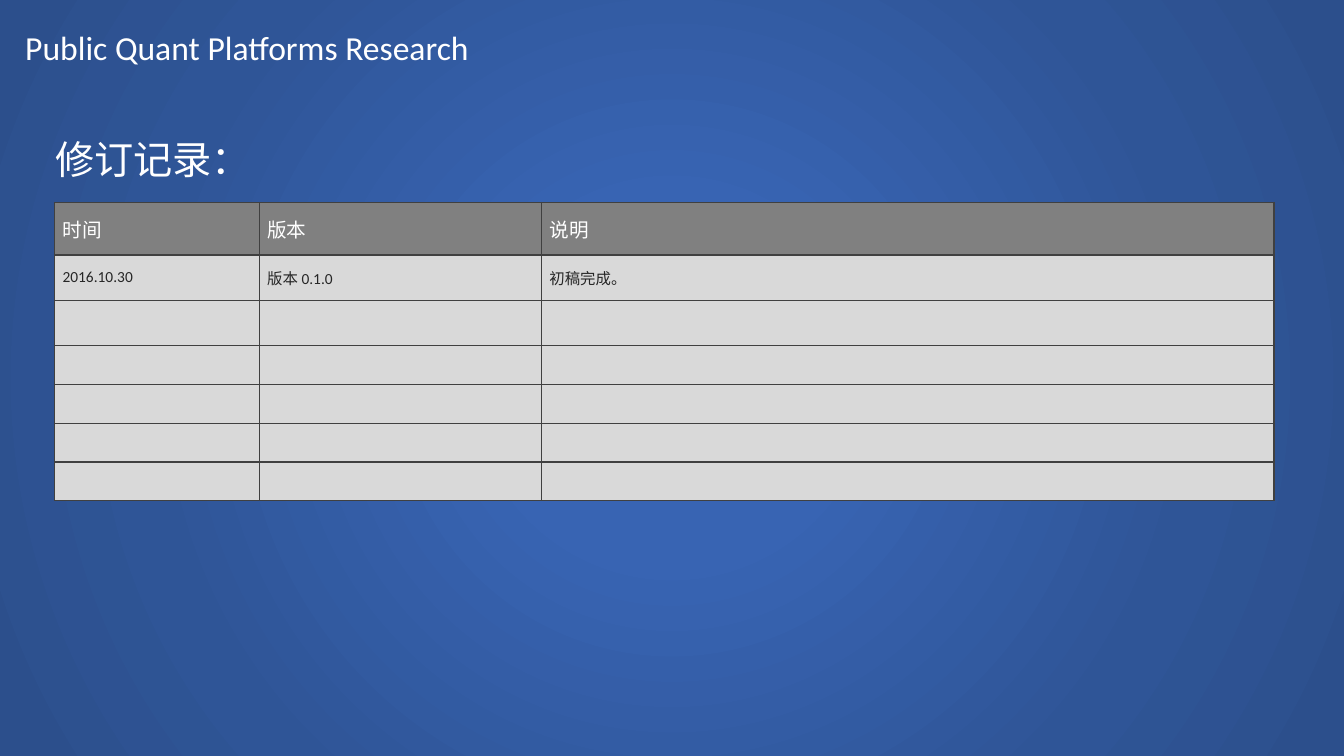
import dataclasses

import pptx
import pptx.dml.color
import pptx.enum.shapes
import pptx.enum.text
import pptx.oxml
import pptx.oxml.ns
import pptx.util

Pt = pptx.util.Pt
FONT = "Calibri"
COLORS = {
    "white": "FFFFFF",
    "header": "808080",
    "body": "D9D9D9",
    "ink": "262626",
    "border": "404040",
}
GRADIENT = [(0, "3864B3"), (23, "3864B3"), (69, "2F5597"), (97, "2C4F8C")]
COLUMNS = [146.2, 201.6, 523.4]
ROWS = [37.4, 32.4, 32.4, 28, 27.6, 27.6, 27.6]
RECORDS = [
    ["时间", "版本", "说明"],
    ["2016.10.30", "版本 0.1.0", "初稿完成。"],
]


@dataclasses.dataclass
class Heading:
    text: str
    left: float
    top: float
    width: float
    height: float
    size: float


@dataclasses.dataclass
class RowStyle:
    fill: str
    ink: str
    size: float


TITLE = Heading("Public Quant Platforms Research", 10.8, 15.8, 362.9, 36, 24)
SUBTITLE = Heading("修订记录：", 32.4, 92.9, 847.4, 41, 28)
HEADER = RowStyle("header", "white", 14)
BODY = RowStyle("body", "ink", 11)


def rgb(name: str) -> pptx.dml.color.RGBColor:
    return pptx.dml.color.RGBColor.from_string(COLORS[name])


def format_runs(p, size: float, color: str) -> None:
    for r in p.runs:
        r.font.name = FONT
        r.font.size = Pt(size)
        r.font.color.rgb = rgb(color)


def write_heading(sp, heading: Heading) -> None:
    sp.left, sp.top = Pt(heading.left), Pt(heading.top)
    sp.width, sp.height = Pt(heading.width), Pt(heading.height)
    tf = sp.text_frame
    tf.text = heading.text
    tf.word_wrap = True
    tf.auto_size = pptx.enum.text.MSO_AUTO_SIZE.SHAPE_TO_FIT_TEXT
    tf.vertical_anchor = pptx.enum.text.MSO_ANCHOR.TOP
    p = tf.paragraphs[0]
    p.alignment = pptx.enum.text.PP_ALIGN.LEFT
    format_runs(p, heading.size, "white")


def add_backdrop(slide, width: int, height: int) -> None:
    sp = slide.shapes.add_shape(
        pptx.enum.shapes.MSO_SHAPE.RECTANGLE, 0, 0, width, height)
    sp.shadow.inherit = False
    sp.line.fill.background()
    stops = "".join(
        f'<a:gs pos="{pos * 1000}"><a:srgbClr val="{color}"/></a:gs>'
        for pos, color in GRADIENT)
    gradient = pptx.oxml.parse_xml(
        f'<a:gradFill {pptx.oxml.ns.nsdecls("a")} rotWithShape="1">'
        f'<a:gsLst>{stops}</a:gsLst><a:path path="circle">'
        '<a:fillToRect l="50000" t="50000" r="50000" b="50000"/>'
        '</a:path></a:gradFill>')
    sp._element.spPr.find(pptx.oxml.ns.qn("a:prstGeom")).addnext(gradient)
    slide.shapes._spTree.insert(2, sp._element)


def add_borders(cell) -> None:
    tcPr = cell._tc.get_or_add_tcPr()
    for side in ("lnL", "lnR", "lnT", "lnB"):
        tcPr.append(pptx.oxml.parse_xml(
            f'<a:{side} {pptx.oxml.ns.nsdecls("a")} w="{Pt(1)}"><a:solidFill>'
            f'<a:srgbClr val="{COLORS["border"]}"/></a:solidFill></a:{side}>'))


def fill_cell(cell, text: str, style: RowStyle) -> None:
    add_borders(cell)
    cell.fill.solid()
    cell.fill.fore_color.rgb = rgb(style.fill)
    cell.margin_left = cell.margin_right = Pt(5.76)
    cell.margin_top = cell.margin_bottom = Pt(2.88)
    cell.vertical_anchor = pptx.enum.text.MSO_ANCHOR.MIDDLE
    p = cell.text_frame.paragraphs[0]
    if text:
        p.text = text
        format_runs(p, style.size, style.ink)
    else:
        p._p.get_or_add_endParaRPr().set("sz", str(style.size * 100))


def add_revisions(slide) -> None:
    table = slide.shapes.add_table(
        len(ROWS), len(COLUMNS), Pt(38.9), Pt(144.7),
        Pt(sum(COLUMNS)), Pt(sum(ROWS))).table
    table.first_row = table.horz_banding = False
    for column, width in zip(table.columns, COLUMNS):
        column.width = Pt(width)
    for i, height in enumerate(ROWS):
        table.rows[i].height = Pt(height)
        texts = RECORDS[i] if i < len(RECORDS) else [""] * len(COLUMNS)
        for j, text in enumerate(texts):
            fill_cell(table.cell(i, j), text, BODY if i else HEADER)


prs = pptx.Presentation()
prs.slide_width, prs.slide_height = Pt(960), Pt(540)
slide = prs.slides.add_slide(prs.slide_layouts.get_by_name("Title Only"))
add_backdrop(slide, prs.slide_width, prs.slide_height)
write_heading(slide.shapes.title, TITLE)
write_heading(slide.shapes.add_textbox(0, 0, 0, 0), SUBTITLE)
add_revisions(slide)
prs.save("out.pptx")
